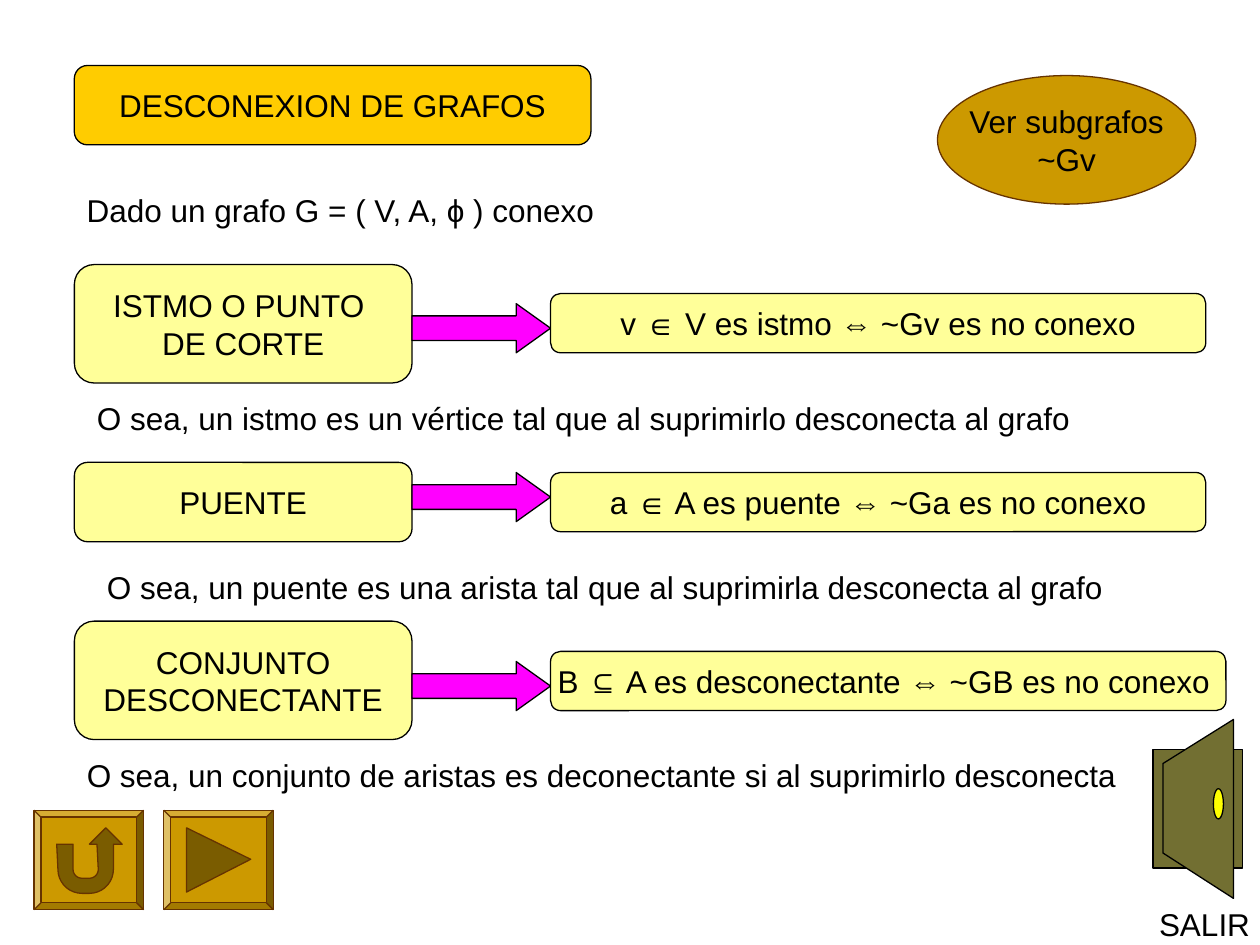
from math import cos, sin, radians
from pptx import Presentation
from pptx.dml.color import RGBColor
from pptx.enum.shapes import MSO_SHAPE as Kind
from pptx.enum.text import MSO_ANCHOR as Anchor, MSO_AUTO_SIZE as Fit, PP_ALIGN as Align
from pptx.util import Inches, Pt

BLACK = RGBColor(0, 0, 0)
AMBER = RGBColor(0xFF, 0xCC, 0)
CREAM = RGBColor(0xFF, 0xFF, 0x99)
PINK = RGBColor(0xFF, 0, 0xFF)
GOLD = RGBColor(0xCC, 0x99, 0)
DARK = RGBColor(0x7A, 0x5C, 0)
BROWN = RGBColor(0x66, 0x33, 0)
OLIVE = RGBColor(0x72, 0x6F, 0x32)
YELLOW = RGBColor(0xFF, 0xFF, 0)

LEFT, TERM_W, ARROW_W = 0.59, 2.68, 1.1
ARROW_H, RULE_H = 0.39, 0.47

TERMS = [
    (["ISTMO O PUNTO ", "DE CORTE"], 2.1, 0.94, 2.41,
     "v ∈ V es istmo ⇔ ~Gv es no conexo", 2.33, 5.2),
    (["PUENTE"], 3.67, 0.63, 3.75,
     "a ∈ A es puente ⇔ ~Ga es no conexo", 3.75, 5.2),
    (["CONJUNTO", "DESCONECTANTE"], 4.93, 0.94, 5.25,
     "B ⊆ A es desconectante ⇔ ~GB es no conexo ", 5.17, 5.36),
]
NOTES = [
    ("Dado un grafo G = ( V, A, ϕ ) conexo", 0.59, 1.47, 4.27),
    ("O sea, un istmo es un vértice tal que al suprimirlo desconecta al grafo",
     0.67, 3.12, 7.95),
    ("O sea, un puente es una arista tal que al suprimirla desconecta al grafo",
     0.75, 4.46, 8.13),
    ("O sea, un conjunto de aristas es deconectante si al suprimirlo desconecta",
     0.59, 5.95, 8.39),
    ("SALIR", 9.1, 7.13, 0.92),
]
DOOR = [(9.79, 5.71), (9.79, 7.13), (9.23, 6.77), (9.23, 6.06)]
PLAY = [(1.48, 6.57), (1.99, 6.82), (1.48, 7.08)]

deck = Presentation()
deck.slide_width, deck.slide_height = Inches(10), Inches(7.5)
slide = deck.slides.add_slide(deck.slide_layouts[6])
shapes = slide.shapes


def write(shape, lines, align=Align.CENTER, anchor=Anchor.MIDDLE, fit=Fit.NONE,
          size=18, color=BLACK):
    frame = shape.text_frame
    frame.word_wrap = False
    frame.auto_size = fit
    frame.vertical_anchor = anchor
    for n, line in enumerate(lines):
        para = frame.add_paragraph() if n else frame.paragraphs[0]
        para.alignment = align
        run = para.add_run()
        run.text = line
        run.font.name, run.font.size = "Arial", Pt(size)
        run.font.color.rgb = color


def paint(shape, fill, line=BLACK):
    shape.shadow.inherit = False
    shape.fill.solid()
    shape.fill.fore_color.rgb = fill
    shape.line.color.rgb = line
    shape.line.width = Pt(0.75)
    return shape


def draw(kind, box, fill, line=BLACK, adj=()):
    shape = shapes.add_shape(kind, *map(Inches, box))
    for n, value in enumerate(adj):
        shape.adjustments[n] = value
    return paint(shape, fill, line)


def outline(points, fill, line=BLACK):
    dots = [(Inches(x), Inches(y)) for x, y in points]
    pen = shapes.build_freeform(*dots[0])
    pen.add_line_segments(dots[1:], close=True)
    return paint(pen.convert_to_shape(), fill, line)


def arc(x, y, size, start, end):
    step = 10 if end > start else -10
    return [(x + size * cos(radians(a)), y + size * sin(radians(a)))
            for a in range(start, end + step, step)]


draw(Kind.RECTANGLE, (9.15, 5.95, 0.71, 0.94), OLIVE)
outline(DOOR, OLIVE)
draw(Kind.OVAL, (9.63, 6.26, 0.08, 0.24), YELLOW)

for x in (0.27, 1.3):
    draw(Kind.BEVEL, (x, 6.43, 0.87, 0.79), GOLD, BROWN, [0.07])
turn = ([(0.45, 6.7), (0.58, 6.7)]
        + arc(0.65, 6.9, 0.07, 180, 90) + arc(0.71, 6.9, 0.07, 90, 0)
        + [(0.77, 6.7), (0.71, 6.7), (0.84, 6.57), (0.97, 6.7), (0.9, 6.7)]
        + arc(0.71, 6.9, 0.19, 0, 90) + arc(0.65, 6.9, 0.19, 90, 180))
outline(turn, DARK, BROWN)
outline(PLAY, DARK, BROWN)

title = draw(Kind.ROUNDED_RECTANGLE, (LEFT, 0.52, 4.1, 0.63), AMBER)
write(title, ["DESCONEXION DE GRAFOS"])

for lines, top, high, arrow_y, rule, rule_y, wide in TERMS:
    x = LEFT + TERM_W
    term = draw(Kind.ROUNDED_RECTANGLE, (LEFT, top, TERM_W, high), CREAM)
    write(term, lines)
    draw(Kind.RIGHT_ARROW, (x, arrow_y, ARROW_W, ARROW_H), PINK, adj=[0.5, 0.7])
    box = draw(Kind.ROUNDED_RECTANGLE, (x + ARROW_W, rule_y, wide, RULE_H), CREAM)
    write(box, [rule])

for words, x, y, wide in NOTES:
    note = shapes.add_textbox(*map(Inches, (x, y, wide, 0.4)))
    write(note, [words], align=Align.LEFT, anchor=Anchor.TOP, fit=Fit.SHAPE_TO_FIT_TEXT)

link = draw(Kind.OVAL, (7.44, 0.6, 2.05, 1.02), GOLD, BROWN)
write(link, ["Ver subgrafos", "~Gv"])

deck.save("out.pptx")
